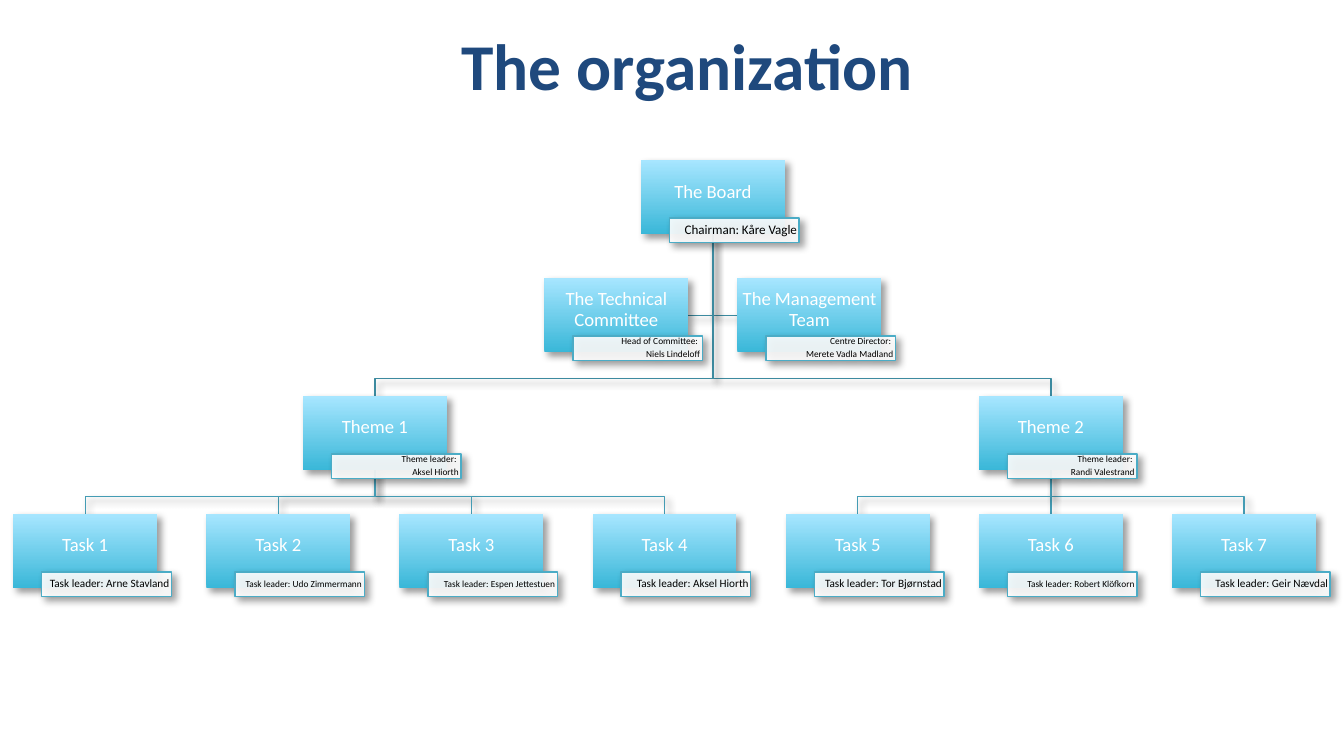
from lxml import etree
from pptx import Presentation
from pptx.dml.color import RGBColor
from pptx.enum.shapes import MSO_CONNECTOR, MSO_SHAPE
from pptx.enum.text import MSO_ANCHOR, MSO_AUTO_SIZE, PP_ALIGN
from pptx.oxml.ns import qn
from pptx.util import Cm, Pt

RECT = MSO_SHAPE.RECTANGLE
STRAIGHT = MSO_CONNECTOR.STRAIGHT
MIDDLE = MSO_ANCHOR.MIDDLE
NO_AUTOFIT = MSO_AUTO_SIZE.NONE
CENTER, RIGHT = PP_ALIGN.CENTER, PP_ALIGN.RIGHT
TITLE_ONLY = 5
TOP, BOTTOM = 0, 2

COLORS = {
    "title": "1F497D",
    "box_low": "39B7D8",
    "box_high": "A7E6FF",
    "box_text": "FFFFFF",
    "badge": "FFFFFF",
    "badge_line": "4BACC6",
    "badge_text": "000000",
    "upper_link": "3C8A9F",
    "task_link": "449CB4",
    "shadow": "000000",
}

# Grid: task columns across, four levels down
LEFT, COLUMN = 0.25, 3.65
FIRST_ROW, ROW = 3.03, 2.23
BOX_W, BOX_H = 2.72, 1.4
BADGE_W, BADGE_H = 2.45, 0.47
BADGE_DX, BADGE_DY = 0.54, 1.09
ELBOW = 0.33

# name: (column, row, badge lines, badge size)
UNITS = {
    "The Board": (3.25, 0, ["Chairman: Kåre Vagle"], 7),
    "Theme 1": (1.5, 2, ["Theme leader: ", "Aksel Hiorth"], 5),
    "Task 1": (0, 3, ["Task leader: Arne Stavland"], 6),
    "Task 2": (1, 3, ["Task leader: Udo Zimmermann"], 5),
    "Task 3": (2, 3, ["Task leader: Espen Jettestuen"], 5),
    "Task 4": (3, 3, ["Task leader: Aksel Hiorth"], 6),
    "Theme 2": (5, 2, ["Theme leader: ", "Randi Valestrand"], 5),
    "Task 5": (4, 3, ["Task leader: Tor Bjørnstad"], 6),
    "Task 6": (5, 3, ["Task leader: Robert Klöfkorn"], 5),
    "Task 7": (6, 3, ["Task leader: Geir Nævdal"], 6),
    "The Technical Committee": (2.75, 1, ["Head of Committee: ", "Niels Lindeloff"], 5),
    "The Management Team": (3.75, 1, ["Centre Director: ", "Merete Vadla Madland"], 5),
}
REPORTS = {
    "The Board": ["Theme 1", "Theme 2"],
    "Theme 1": ["Task 1", "Task 2", "Task 3", "Task 4"],
    "Theme 2": ["Task 5", "Task 6", "Task 7"],
}
ASSISTANTS = ["The Technical Committee", "The Management Team"]


def rgb(name):
    return RGBColor.from_string(COLORS[name])


class OrgChart:
    """Holds the slide and the chart's style."""

    font = "Calibri"
    line_width = Pt(0.75)

    def __init__(self, slide):
        self.slide = slide
        self.shapes = slide.shapes

    def shadow(self, shape):
        properties = shape._element.spPr
        effects = properties.find(qn("a:effectLst"))
        if effects is None:
            effects = etree.SubElement(properties, qn("a:effectLst"))
        outer = etree.SubElement(effects, qn("a:outerShdw"), blurRad=str(Pt(4)),
                                 dist=str(Pt(3)), dir="2700000", rotWithShape="0")
        color = etree.SubElement(outer, qn("a:srgbClr"), val=COLORS["shadow"])
        etree.SubElement(color, qn("a:alpha"), val="40000")

    def set_text(self, shape, lines, size, color, align, bold=False):
        frame = shape.text_frame
        frame.text = "\n".join(lines)
        frame.word_wrap = True
        frame.auto_size = NO_AUTOFIT
        frame.vertical_anchor = MIDDLE
        for paragraph in frame.paragraphs:
            paragraph.alignment = align
            for run in paragraph.runs:
                run.font.name = self.font
                run.font.size = Pt(size)
                run.font.bold = bold
                run.font.color.rgb = rgb(color)
        return frame

    def label(self, shape, lines, size, color, align, side, bottom):
        frame = self.set_text(shape, lines, size, color, align)
        frame.margin_left = frame.margin_right = Cm(side)
        frame.margin_top, frame.margin_bottom = Cm(0), Cm(bottom)
        for paragraph in frame.paragraphs:
            paragraph.line_spacing = 0.9
        for paragraph in frame.paragraphs[:-1]:
            paragraph.space_after = Pt(1.5)

    def title(self, text):
        title = self.shapes.title
        title.left, title.top = Cm(1.27), Cm(0.64)
        title.width, title.height = Cm(23.44), Cm(1.17)
        self.set_text(title, [text], 35, "title", CENTER, bold=True)

    def unit(self, name, column, row, badge_lines, badge_size):
        left, top = LEFT + column * COLUMN, FIRST_ROW + row * ROW
        box = self.shapes.add_shape(RECT, Cm(left), Cm(top), Cm(BOX_W), Cm(BOX_H))
        box.fill.gradient()
        box.fill.gradient_angle = 90
        for stop, color in zip(box.fill.gradient_stops, ("box_low", "box_high")):
            stop.color.rgb = rgb(color)
        box.line.fill.background()
        self.shadow(box)
        self.label(box, [name], 10, "box_text", CENTER, 0.03, 0.2)

        badge = self.shapes.add_shape(RECT, Cm(left + BADGE_DX), Cm(top + BADGE_DY),
                                      Cm(BADGE_W), Cm(BADGE_H))
        badge.fill.solid()
        badge.fill.fore_color.rgb = rgb("badge")
        fill_color = badge._element.spPr.find(qn("a:solidFill"))[0]
        etree.SubElement(fill_color, qn("a:alpha"), val="90000")
        badge.line.color.rgb = rgb("badge_line")
        badge.line.width = self.line_width
        self.shadow(badge)
        self.label(badge, badge_lines, badge_size, "badge_text", RIGHT, 0.04, 0)
        return box

    def finish_link(self, link, color):
        link.line.color.rgb = rgb(color)
        link.line.width = self.line_width
        self.shadow(link)
        # Links lie behind the boxes
        self.shapes._spTree.insert(2, link._element)

    def bent_link(self, points, color):
        builder = self.shapes.build_freeform(*points[0])
        builder.add_line_segments(points[1:], close=False)
        link = builder.convert_to_shape()
        link.fill.background()
        self.finish_link(link, color)

    def straight_link(self, parent, child, color):
        link = self.shapes.add_connector(STRAIGHT, 0, 0, 0, 0)
        link.begin_connect(parent, BOTTOM)
        link.end_connect(child, TOP)
        self.finish_link(link, color)

    def report(self, parent, child, color):
        start_x, end_x = (box.left + box.width // 2 for box in (parent, child))
        if start_x == end_x:
            self.straight_link(parent, child, color)
            return
        bend = child.top - Cm(ELBOW)
        self.bent_link([(start_x, parent.top + parent.height), (start_x, bend),
                        (end_x, bend), (end_x, child.top)], color)

    def assistant(self, parent, child, color):
        x = parent.left + parent.width // 2
        y = child.top + child.height // 2
        side = child.left if child.left > x else child.left + child.width
        self.bent_link([(x, parent.top + parent.height), (x, y), (side, y)], color)


def main():
    deck = Presentation()
    deck.slide_width, deck.slide_height = Cm(25.4), Cm(14.29)
    chart = OrgChart(deck.slides.add_slide(deck.slide_layouts[TITLE_ONLY]))
    chart.title("The organization")

    # Units with their leaders
    boxes = {name: chart.unit(name, *details) for name, details in UNITS.items()}

    # Reporting lines
    for parent, children in REPORTS.items():
        color = "upper_link" if parent == "The Board" else "task_link"
        for child in children:
            chart.report(boxes[parent], boxes[child], color)
    for name in ASSISTANTS:
        chart.assistant(boxes["The Board"], boxes[name], "upper_link")

    deck.save("out.pptx")


if __name__ == "__main__":
    main()
